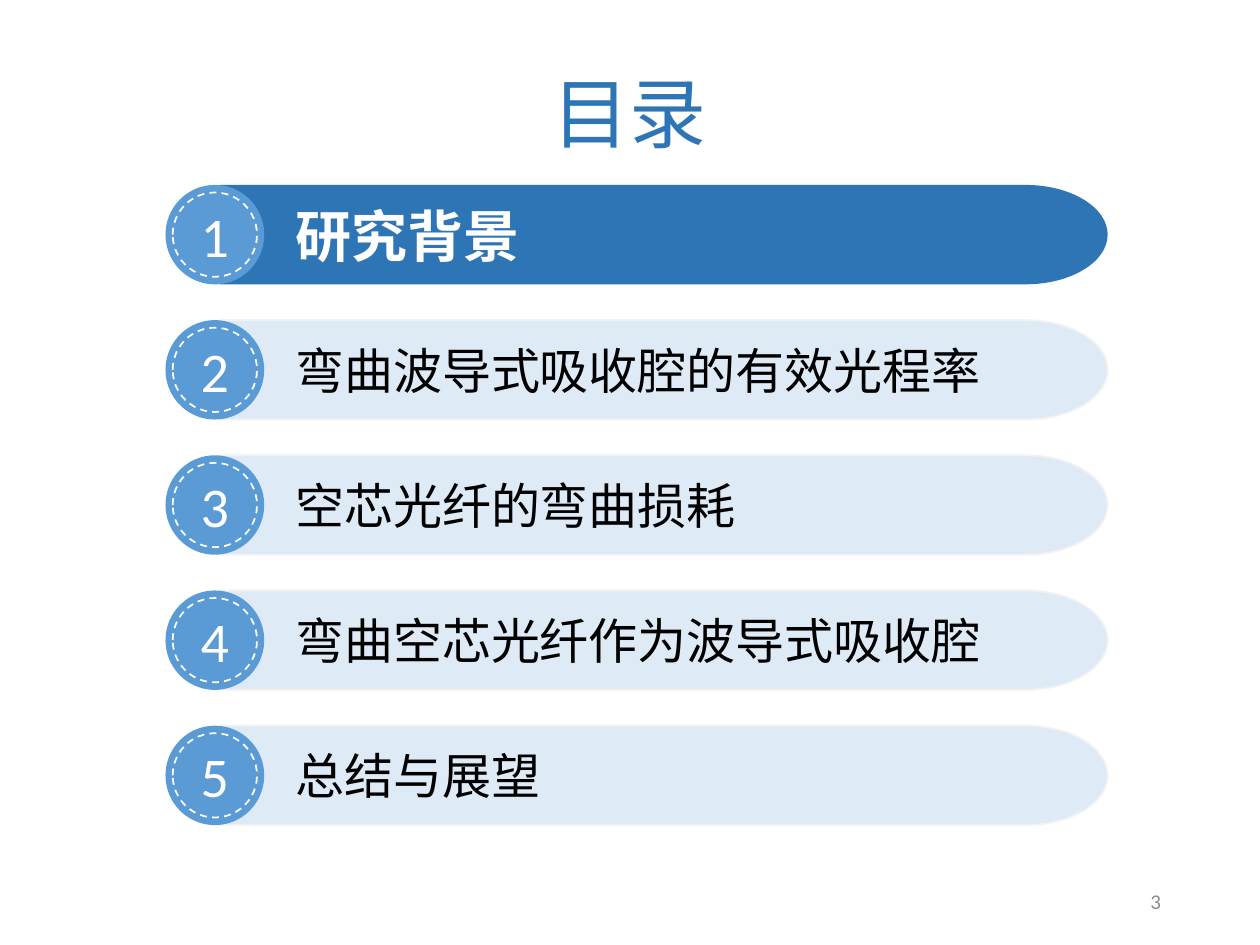
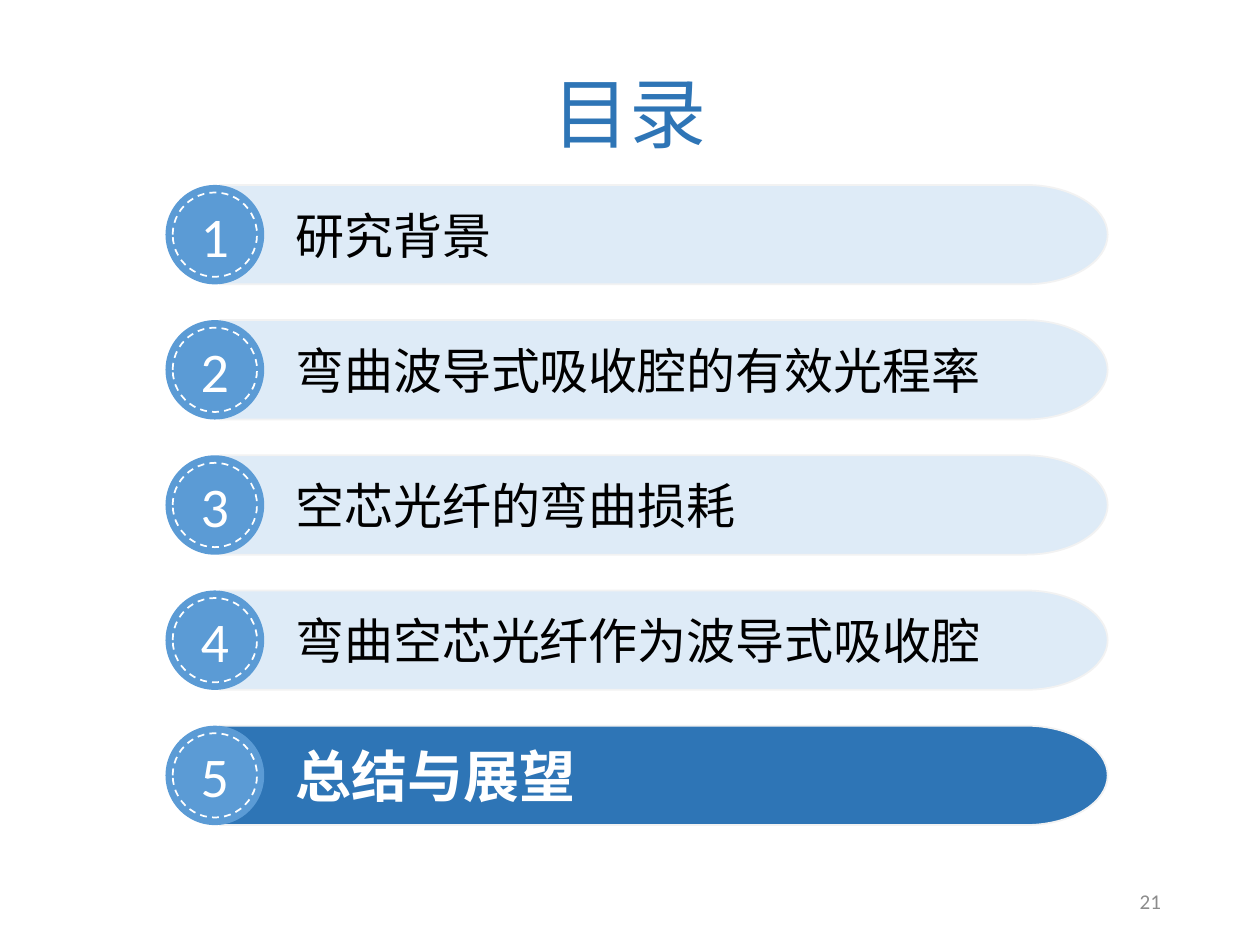
"""Build two agenda slides that highlight the current chapter."""
from dataclasses import dataclass

from lxml import etree
from pptx import Presentation
from pptx import util as u
from pptx.dml import color
from pptx.enum import dml, shapes, text
from pptx.oxml import ns

DARK, MID, PALE = "2E75B6", "5B9BD5", "DEEBF7"
WHITE, BLACK, GREY, EDGE = "FFFFFF", "000000", "8C8C8C", "F2F2F2"
HEADING, BODY = "Calibri", "Arial"
TITLE = "目录"
CHAPTERS = (
    "研究背景",
    "弯曲波导式吸收腔的有效光程率",
    "空芯光纤的弯曲损耗",
    "弯曲空芯光纤作为波导式吸收腔",
    "总结与展望",
)
ROW_TOP, ROW_PITCH, ROW_H = 105.7, 77.25, 56.8
BAR_LEFT, BAR_W, CAP_W = 125.7, 507.3, 46.8
BADGE_LEFT, BADGE_W = 94.6, 56.4
RING = 48.2
KAPPA = 0.55


@dataclass(frozen=True)
class Agenda:
    """State the page number, the active chapter and its outline."""
    page: int
    active: int
    active_edge: str | None


def rgb(value: str) -> color.RGBColor:
    """Turn a hex string into a colour."""
    return color.RGBColor.from_string(value)


def style(sp, fill: str | None = None, line: str | None = None, dash=None) -> None:
    """Set the fill and outline of a shape and drop its shadow."""
    sp.shadow.inherit = False
    if fill:
        sp.fill.solid()
        sp.fill.fore_color.rgb = rgb(fill)
    else:
        sp.fill.background()
    if line:
        sp.line.color.rgb = rgb(line)
        sp.line.width = u.Pt(1)
        if dash:
            sp.line.dash_style = dash
    else:
        sp.line.fill.background()


def write(sp, content: str, *, size: float, font: str, hue: str, bold: bool = False,
          align=text.PP_ALIGN.CENTER, indent: float = 0) -> None:
    """Put one formatted, vertically centred line of text in a shape."""
    tf = sp.text_frame
    tf.word_wrap = True
    tf.auto_size = text.MSO_AUTO_SIZE.NONE
    tf.vertical_anchor = text.MSO_ANCHOR.MIDDLE
    tf.margin_left = tf.margin_right = u.Pt(7.2)
    tf.margin_top = tf.margin_bottom = u.Pt(3.6)
    p = tf.paragraphs[0]
    p.alignment = align
    if indent:
        p._p.get_or_add_pPr().set("indent", str(u.Pt(indent)))
    r = p.add_run()
    r.text = content
    r.font.size, r.font.name, r.font.bold = u.Pt(size), font, bold
    r.font.color.rgb = rgb(hue)


def curve(segment, points: list[tuple[float, float]]) -> None:
    """Replace a straight path segment by a cubic curve through local points."""
    bezier = etree.Element(ns.qn("a:cubicBezTo"))
    for x, y in points:
        etree.SubElement(bezier, ns.qn("a:pt"), x=str(u.Pt(x)), y=str(u.Pt(y)))
    segment.getparent().replace(segment, bezier)


def add_bar(group, top: float):
    """Draw a bar with a square left end and a half-ellipse right end."""
    flat, radius = BAR_W - CAP_W, ROW_H / 2
    corners = ((flat, 0), (BAR_W, radius), (flat, ROW_H), (0, ROW_H))
    builder = group.shapes.build_freeform(u.Pt(BAR_LEFT), u.Pt(top))
    builder.add_line_segments(
        [(u.Pt(BAR_LEFT + x), u.Pt(top + y)) for x, y in corners], close=True)
    bar = builder.convert_to_shape()
    segments = list(bar._element.iter(ns.qn("a:lnTo")))
    pull_x, pull_y = flat + CAP_W * KAPPA, radius * (1 - KAPPA)
    curve(segments[1], [(pull_x, 0), (BAR_W, pull_y), corners[1]])
    curve(segments[2], [(BAR_W, ROW_H - pull_y), (pull_x, ROW_H), corners[2]])
    return bar


def add_oval(group, left: float, top: float, width: float, height: float):
    """Add an ellipse."""
    return group.shapes.add_shape(shapes.MSO_SHAPE.OVAL, u.Pt(left), u.Pt(top),
                                  u.Pt(width), u.Pt(height))


def add_chapter(s, index: int, agenda: Agenda) -> None:
    """Draw one chapter row with its bar, numbered badge and dashed ring."""
    group = s.shapes.add_group_shape()
    top = ROW_TOP + index * ROW_PITCH
    active = index + 1 == agenda.active
    bar = add_bar(group, top)
    style(bar, DARK if active else PALE, agenda.active_edge if active else EDGE)
    write(bar, CHAPTERS[index], size=32 if active else 28, font=BODY,
          hue=WHITE if active else BLACK, bold=active,
          align=text.PP_ALIGN.LEFT, indent=36)
    badge = add_oval(group, BADGE_LEFT, top, BADGE_W, ROW_H)
    style(badge, MID)
    write(badge, str(index + 1), size=32, font=HEADING, hue=WHITE)
    ring = add_oval(group, BADGE_LEFT + (BADGE_W - RING) / 2,
                    top + (ROW_H - RING) / 2, RING, RING)
    style(ring, line=WHITE, dash=dml.MSO_LINE.DASH)


def add_agenda(prs, agenda: Agenda) -> None:
    """Add one agenda slide."""
    s = prs.slides.add_slide(prs.slide_layouts[5])
    title = s.shapes.title
    title.left, title.top = u.Pt(49.5), u.Pt(11.5)
    title.width, title.height = u.Pt(621), u.Pt(104.4)
    write(title, TITLE, size=44, font=HEADING, hue=DARK)
    for index in range(len(CHAPTERS)):
        add_chapter(s, index, agenda)
    number = s.shapes.add_textbox(u.Pt(508.5), u.Pt(500.5), u.Pt(162), u.Pt(28.75))
    write(number, str(agenda.page), size=12, font=HEADING, hue=GREY,
          align=text.PP_ALIGN.RIGHT)


def main() -> None:
    """Build and save the presentation."""
    prs = Presentation()
    prs.slide_width, prs.slide_height = u.Pt(720), u.Pt(540)
    for agenda in (Agenda(3, 1, None), Agenda(21, 5, EDGE)):
        add_agenda(prs, agenda)
    prs.save("out.pptx")


main()
